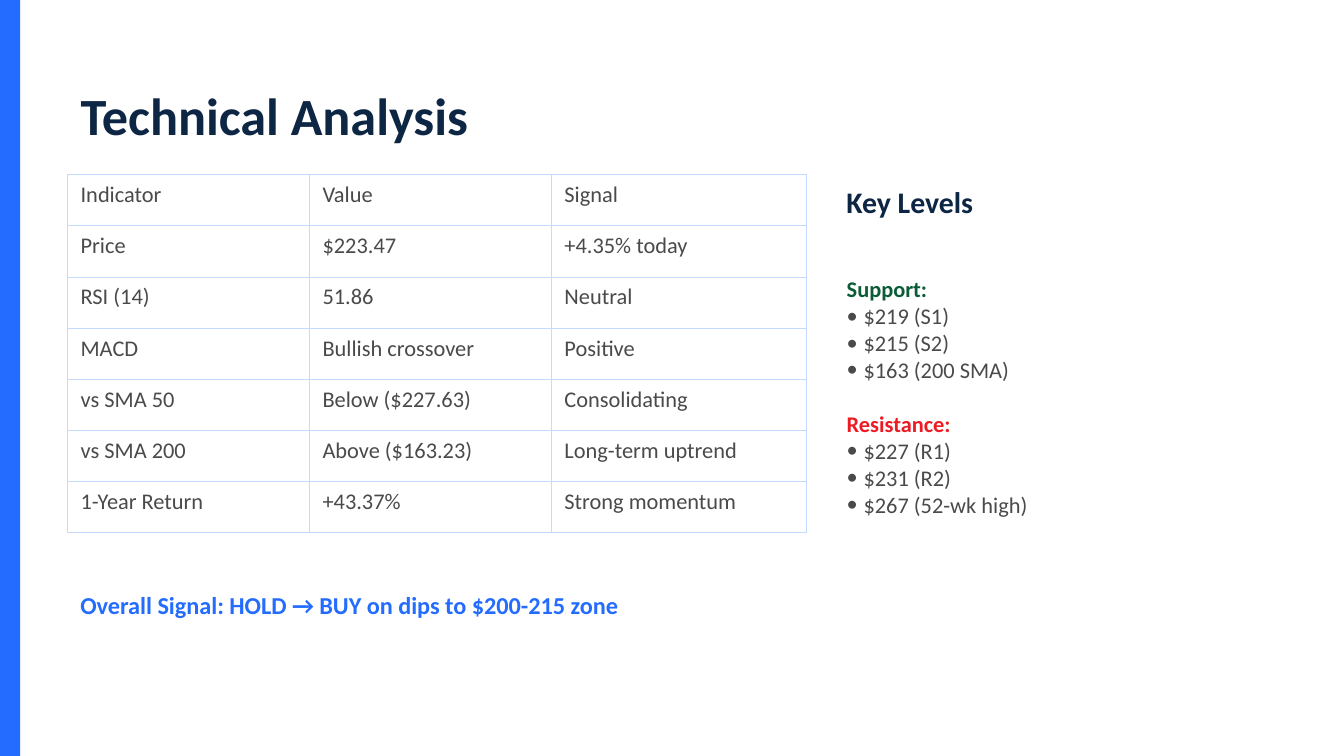
import pptx
import pptx.dml.color
import pptx.enum.shapes
import pptx.enum.text
import pptx.oxml.ns
import pptx.presentation
import pptx.slide
import pptx.text.text
import pptx.util
from dataclasses import dataclass
from lxml import etree

Pt = pptx.util.Pt
FONT = "Calibri"
BLUE, NAVY, GRAY, WHITE = "236CFF", "0D2644", "4A4A4A", "FFFFFF"
GREEN, RED, EDGE = "0A5C36", "ED1C24", "C4DBFF"


@dataclass
class Box:
    left: float
    top: float
    width: float
    height: float


@dataclass
class Style:
    size: float
    color: str
    bold: bool = False


@dataclass
class Group:
    head: str
    color: str
    items: list[str]
    gap: float = 0


ROWS = [
    ("Indicator", "Value", "Signal"),
    ("Price", "$223.47", "+4.35% today"),
    ("RSI (14)", "51.86", "Neutral"),
    ("MACD", "Bullish crossover", "Positive"),
    ("vs SMA 50", "Below ($227.63)", "Consolidating"),
    ("vs SMA 200", "Above ($163.23)", "Long-term uptrend"),
    ("1-Year Return", "+43.37%", "Strong momentum"),
]
WIDTHS = (129.6, 129.6, 136.8)
ROW_H = 27.4
INDENT = 9
LEVELS = [
    Group("Support:", GREEN, ["$219 (S1)", "$215 (S2)", "$163 (200 SMA)"]),
    Group("Resistance:", RED, ["$227 (R1)", "$231 (R2)", "$267 (52-wk high)"], 14.6),
]


def rgb(code: str) -> pptx.dml.color.RGBColor:
    return pptx.dml.color.RGBColor.from_string(code)


def add_node(parent: etree._Element, tag: str, **attrs: str) -> etree._Element:
    return etree.SubElement(parent, pptx.oxml.ns.qn(tag), attrs)


def format_text(para, style: Style) -> None:
    para.alignment = pptx.enum.text.PP_ALIGN.LEFT
    for run in para.runs:
        run.font.name = FONT
        run.font.size = Pt(style.size)
        run.font.bold = style.bold
        run.font.color.rgb = rgb(style.color)


def place(shape, box: Box) -> None:
    shape.left, shape.top = Pt(box.left), Pt(box.top)
    shape.width, shape.height = Pt(box.width), Pt(box.height)
    frame = shape.text_frame
    frame.word_wrap = True
    frame.auto_size = pptx.enum.text.MSO_AUTO_SIZE.NONE
    frame.vertical_anchor = pptx.enum.text.MSO_ANCHOR.MIDDLE


def fill_text(shape, box: Box, text: str, style: Style) -> None:
    place(shape, box)
    shape.text_frame.text = text
    format_text(shape.text_frame.paragraphs[0], style)


def add_label(slide: pptx.slide.Slide, box: Box, text: str, style: Style) -> None:
    fill_text(slide.shapes.add_textbox(0, 0, 0, 0), box, text, style)


def add_bar(slide: pptx.slide.Slide, box: Box, color: str) -> None:
    bar = slide.shapes.add_shape(
        pptx.enum.shapes.MSO_SHAPE.RECTANGLE,
        Pt(box.left), Pt(box.top), Pt(box.width), Pt(box.height))
    bar.shadow.inherit = False
    bar.fill.solid()
    bar.fill.fore_color.rgb = rgb(color)
    bar.line.fill.background()


def add_edges(cell, color: str, width: float) -> None:
    props = cell._tc.get_or_add_tcPr()
    for side in ("a:lnL", "a:lnR", "a:lnT", "a:lnB"):
        line = add_node(props, side, w=str(Pt(width)))
        add_node(add_node(line, "a:solidFill"), "a:srgbClr", val=color)


def add_grid(slide: pptx.slide.Slide, left: float, top: float) -> None:
    table = slide.shapes.add_table(
        len(ROWS), len(WIDTHS), Pt(left), Pt(top),
        Pt(sum(WIDTHS)), Pt(ROW_H * len(ROWS))).table
    table.first_row = table.horz_banding = False
    for col, width in zip(table.columns, WIDTHS):
        col.width = Pt(width)
    for row, words in zip(table.rows, ROWS):
        row.height = Pt(ROW_H)
        for cell, word in zip(row.cells, words):
            cell.text_frame.text = word
            format_text(cell.text_frame.paragraphs[0], Style(12, GRAY))
            add_edges(cell, EDGE, 0.5)
            cell.fill.solid()
            cell.fill.fore_color.rgb = rgb(WHITE)


def set_bullet(para, shown: bool) -> None:
    props = para._p.get_or_add_pPr()
    indent = Pt(INDENT) if shown else 0
    props.set("marL", str(indent))
    props.set("indent", str(-indent))
    if shown:
        add_node(props, "a:buFont", typeface=FONT)
        add_node(props, "a:buChar", char="•")
    else:
        add_node(props, "a:buNone")


def fill_levels(shape, box: Box) -> None:
    place(shape, box)
    lines = []
    for group in LEVELS:
        lines.append((group.head, Style(12, group.color, True), group.gap, False))
        lines += [(item, Style(12, GRAY), 0, True) for item in group.items]
    frame = shape.text_frame
    frame.text = "\n".join(line[0] for line in lines)
    for para, (_, style, gap, shown) in zip(frame.paragraphs, lines):
        para.space_before = Pt(gap)
        format_text(para, style)
        set_bullet(para, shown)


def main() -> None:
    deck = pptx.Presentation()
    deck.slide_width, deck.slide_height = Pt(720), Pt(405)
    slide = deck.slides.add_slide(deck.slide_layouts[1])
    slide.background.fill.solid()
    slide.background.fill.fore_color.rgb = rgb(WHITE)
    add_bar(slide, Box(0, 0, 10.8, 405), BLUE)
    fill_text(slide.shapes.title, Box(36, 36, 648, 50.4),
              "Technical Analysis", Style(28, NAVY, True))
    add_grid(slide, 36, 93.6)
    add_label(slide, Box(446.4, 93.6, 237.6, 28.8), "Key Levels", Style(16, NAVY, True))
    fill_levels(slide.placeholders[1], Box(446.4, 122.4, 237.6, 180))
    add_label(slide, Box(36, 309.6, 648, 28.8),
              "Overall Signal: HOLD → BUY on dips to $200-215 zone",
              Style(13, BLUE, True))
    deck.save("out.pptx")


if __name__ == "__main__":
    main()
